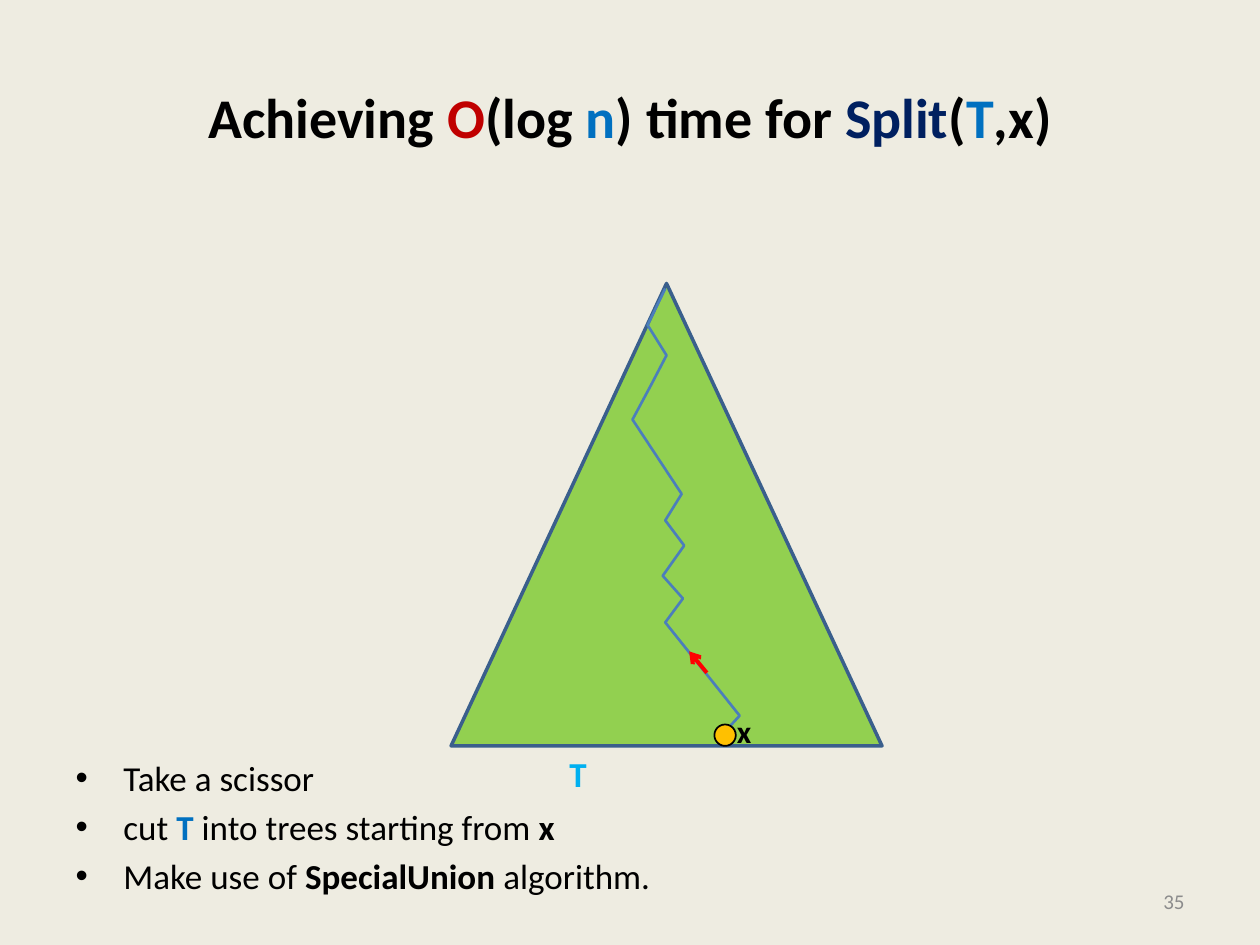
from typing import NamedTuple, Optional

from pptx import Presentation
from pptx.dml.color import RGBColor
from pptx.enum.shapes import MSO_CONNECTOR, MSO_SHAPE
from pptx.enum.text import MSO_ANCHOR, PP_ALIGN
from pptx.oxml.xmlchemy import OxmlElement
from pptx.util import Inches, Pt

TRIANGLE, OVAL = MSO_SHAPE.ISOSCELES_TRIANGLE, MSO_SHAPE.OVAL
STRAIGHT = MSO_CONNECTOR.STRAIGHT
LEFT, CENTER, RIGHT = PP_ALIGN.LEFT, PP_ALIGN.CENTER, PP_ALIGN.RIGHT
TOP, MIDDLE = MSO_ANCHOR.TOP, MSO_ANCHOR.MIDDLE

FONT = "Calibri"
BACKGROUND = RGBColor(0xEE, 0xEC, 0xE1)
BLACK = RGBColor(0x00, 0x00, 0x00)
DARK_RED = RGBColor(0xC0, 0x00, 0x00)
BLUE = RGBColor(0x00, 0x70, 0xC0)
NAVY = RGBColor(0x00, 0x20, 0x60)
SKY = RGBColor(0x00, 0xB0, 0xF0)
GRAY = RGBColor(0x8C, 0x8C, 0x8C)
GREEN = RGBColor(0x92, 0xD0, 0x50)
OUTLINE = RGBColor(0x3A, 0x5F, 0x8C)
PATH_BLUE = RGBColor(0x4B, 0x7E, 0xBC)
RED = RGBColor(0xFF, 0x00, 0x00)
AMBER = RGBColor(0xFF, 0xC0, 0x00)


class Span(NamedTuple):
    text: str
    color: RGBColor = BLACK
    bold: bool = False


class Box(NamedTuple):
    left: float
    top: float
    width: float
    height: float

    def lengths(self) -> list:
        return [Inches(value) for value in self]


class Label(NamedTuple):
    box: Box
    span: Span
    size: int
    alignment: PP_ALIGN = LEFT
    anchor: MSO_ANCHOR = TOP
    wrap: bool = False


class Figure(NamedTuple):
    kind: MSO_SHAPE
    box: Box
    fill: RGBColor
    line: RGBColor
    line_width: float


TITLE = [
    Span("Achieving ", BLACK, True), Span("O", DARK_RED, True),
    Span("(log ", BLACK, True), Span("n", BLUE, True),
    Span(") time for ", BLACK, True), Span("Split", NAVY, True),
    Span("(", BLACK, True), Span("T", BLUE, True), Span(",x)", BLACK, True),
]
STEPS = [
    [Span("Take a scissor")],
    [Span("cut "), Span("T", BLUE, True), Span(" into trees starting from "),
     Span("x", BLACK, True)],
    [Span("Make use of "), Span("SpecialUnion ", BLACK, True), Span("algorithm.")],
]
TREE = Figure(TRIANGLE, Box(3.58, 2.25, 3.42, 3.67), GREEN, OUTLINE, 2)
NODE = Figure(OVAL, Box(5.67, 5.75, 0.17, 0.17), AMBER, BLACK, 1)
LABELS = [
    Label(Box(4.42, 5.92, 0.34, 0.44), Span("T", SKY, True), 20),
    Label(Box(5.75, 5.6, 0.32, 0.4), Span("x", BLACK, True), 18),
    Label(Box(7.17, 6.95, 2.33, 0.4), Span("35", GRAY), 12, RIGHT, MIDDLE, True),
]
SEARCH_PATH = [
    (5.28, 2.29), (5.14, 2.58), (5.29, 2.82), (5.17, 3.05), (5.02, 3.33),
    (5.41, 3.92), (5.28, 4.13), (5.43, 4.33), (5.26, 4.57), (5.42, 4.75),
    (5.28, 4.94), (5.87, 5.68), (5.76, 5.8),
]
CUT_ARROW = [5.61, 5.34, 5.47, 5.17]


def apply_format(target, values: dict) -> None:
    for name, value in values.items():
        setattr(target, name, value)


def place(shape, box: Box) -> None:
    apply_format(shape, dict(zip(("left", "top", "width", "height"), box.lengths())))


def write_spans(paragraph, spans: list[Span], size: int) -> None:
    for span in spans:
        run = paragraph.add_run()
        run.text = span.text
        apply_format(run.font, {"name": FONT, "size": Pt(size), "bold": span.bold})
        run.font.color.rgb = span.color


def style_line(shape, color: RGBColor, width: float) -> None:
    shape.line.color.rgb = color
    shape.line.width = Pt(width)


def draw_figure(slide, figure: Figure) -> None:
    shape = slide.shapes.add_shape(figure.kind, *figure.box.lengths())
    shape.shadow.inherit = False
    shape.fill.solid()
    shape.fill.fore_color.rgb = figure.fill
    style_line(shape, figure.line, figure.line_width)


def draw_label(slide, label: Label) -> None:
    frame = slide.shapes.add_textbox(*label.box.lengths()).text_frame
    apply_format(frame, {"word_wrap": label.wrap, "vertical_anchor": label.anchor})
    frame.paragraphs[0].alignment = label.alignment
    write_spans(frame.paragraphs[0], [label.span], label.size)


def draw_path(slide, points: list[tuple[float, float]]) -> None:
    start, *rest = [(Inches(x), Inches(y)) for x, y in points]
    builder = slide.shapes.build_freeform(*start)
    builder.add_line_segments(rest, close=False)
    shape = builder.convert_to_shape()
    shape.shadow.inherit = False
    shape.fill.background()
    style_line(shape, PATH_BLUE, 1.5)


def draw_arrow(slide, ends: list[float]) -> None:
    arrow = slide.shapes.add_connector(STRAIGHT, *[Inches(value) for value in ends])
    style_line(arrow, RED, 2.25)
    head = OxmlElement("a:tailEnd")
    head.set("type", "arrow")
    arrow.line._get_or_add_ln().append(head)
    arrow._element.spPr.append(OxmlElement("a:effectLst"))


def fill_title(title) -> None:
    place(title, Box(0.5, 0.3, 9, 1.25))
    title.text_frame.vertical_anchor = MIDDLE
    paragraph = title.text_frame.paragraphs[0]
    paragraph.alignment = CENTER
    write_spans(paragraph, TITLE, 32)


def fill_steps(body, space_before: Optional[int] = 4) -> None:
    place(body, Box(0.5, 5.95, 9, 1.3))
    frame = body.text_frame
    for index, spans in enumerate(STEPS):
        paragraph = frame.add_paragraph() if index else frame.paragraphs[0]
        paragraph.space_before = Pt(space_before if index else 0)
        properties = paragraph._p.get_or_add_pPr()
        properties.set("marL", str(Inches(0.38)))
        properties.set("indent", str(Inches(-0.38)))
        bullet = OxmlElement("a:buChar")
        bullet.set("char", "•")
        properties.append(bullet)
        write_spans(paragraph, spans, 20)


def main() -> None:
    presentation = Presentation()
    presentation.slide_width, presentation.slide_height = Inches(10), Inches(7.5)
    slide = presentation.slides.add_slide(presentation.slide_layouts[1])
    slide.background.fill.solid()
    slide.background.fill.fore_color.rgb = BACKGROUND

    # Title and steps
    fill_title(slide.shapes.title)
    fill_steps(slide.placeholders[1])

    # Tree with the search path down to node x
    draw_figure(slide, TREE)
    draw_path(slide, SEARCH_PATH)
    draw_arrow(slide, CUT_ARROW)
    draw_figure(slide, NODE)

    # Tree label, node label and page number
    for label in LABELS:
        draw_label(slide, label)

    presentation.save("out.pptx")


if __name__ == "__main__":
    main()
